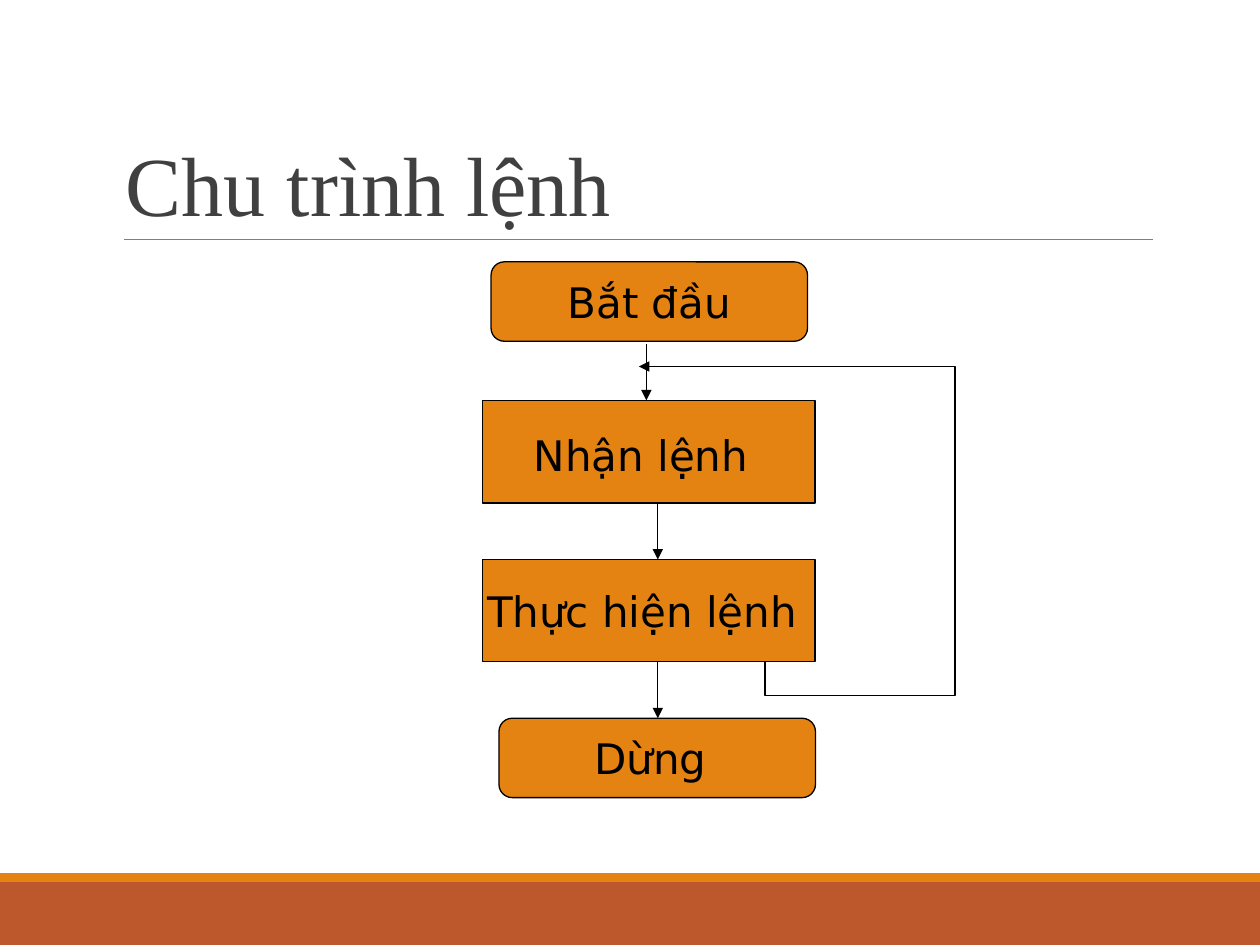
from lxml.etree import SubElement
from pptx import Presentation
from pptx.dml.color import RGBColor
from pptx.enum.shapes import MSO_CONNECTOR as Link, MSO_SHAPE as Kind
from pptx.enum.text import MSO_ANCHOR as Anchor, PP_ALIGN as Align
from pptx.oxml.ns import qn
from pptx.util import Cm, Pt

RUST = RGBColor(0xBD, 0x58, 0x2C)
ORANGE = RGBColor(0xE4, 0x83, 0x12)
GRAY = RGBColor(0x7F, 0x7F, 0x7F)
DARK = RGBColor(0x40, 0x40, 0x40)
BLACK = RGBColor(0, 0, 0)

WIDE, HIGH = 25.4, 19.05


def style(run, face, size, color):
    run.font.name = face
    run.font.size = Pt(size)
    run.font.color.rgb = color


def add_band(shapes, top, high, color):
    band = shapes.add_shape(Kind.RECTANGLE, 0, Cm(top), Cm(WIDE), Cm(high))
    band.shadow.inherit = False
    band.fill.solid()
    band.fill.fore_color.rgb = color
    band.line.fill.background()


def add_title(shapes, text):
    box = shapes.add_textbox(Cm(2.29), Cm(0.79), Cm(20.96), Cm(4.04))
    frame = box.text_frame
    frame.word_wrap = True
    frame.vertical_anchor = Anchor.BOTTOM
    frame.text = text
    para = frame.paragraphs[0]
    para.line_spacing = 0.85
    style(para.runs[0], "Times New Roman", 48, DARK)


def add_step(shapes, kind, left, top, wide, high, parts):
    """Draw a step of the flow; parts are (text, size) runs."""
    step = shapes.add_shape(kind, Cm(left), Cm(top), Cm(wide), Cm(high))
    step.shadow.inherit = False
    step.fill.solid()
    step.fill.fore_color.rgb = ORANGE
    step.line.color.rgb = BLACK
    step.line.width = Pt(0.75)
    frame = step.text_frame
    frame.word_wrap = False
    frame.vertical_anchor = Anchor.MIDDLE
    para = frame.paragraphs[0]
    para.alignment = Align.CENTER
    for text, size in parts:
        run = para.add_run()
        run.text = text
        style(run, "DejaVu Sans", size, BLACK)


def add_tip(shape):
    SubElement(shape.line._get_or_add_ln(), qn("a:tailEnd"), type="triangle")


def add_line(shapes, x1, y1, x2, y2, color=BLACK, width=0.75):
    line = shapes.add_connector(Link.STRAIGHT, Cm(x1), Cm(y1), Cm(x2), Cm(y2))
    line.line.color.rgb = color
    line.line.width = Pt(width)
    SubElement(line._element.spPr, qn("a:effectLst"))
    return line


def add_loop(shapes, points):
    start, *rest = [(Cm(x), Cm(y)) for x, y in points]
    path = shapes.build_freeform(*start)
    path.add_line_segments(rest, close=False)
    loop = path.convert_to_shape()
    loop.shadow.inherit = False
    loop.fill.background()
    loop.line.color.rgb = BLACK
    loop.line.width = Pt(0.75)
    add_tip(loop)


def main():
    deck = Presentation()
    deck.slide_width, deck.slide_height = Cm(WIDE), Cm(HIGH)
    shapes = deck.slides.add_slide(deck.slide_layouts[6]).shapes

    # Footer bands, title and rule
    add_band(shapes, 17.78, 1.27, RUST)
    add_band(shapes, 17.6, 0.18, ORANGE)
    add_line(shapes, 2.49, 4.83, 23.24, 4.83, GRAY, 0.5)
    add_title(shapes, "Chu trình lệnh")

    # Start and stop
    for left, top, text in [(9.9, 5.28, "Bắt đầu"), (10.06, 14.48, "Dừng ")]:
        add_step(shapes, Kind.ROUNDED_RECTANGLE, left, top, 6.38, 1.6,
                 [(text, 24)])

    # Fetch and execute
    for top, parts in [(8.08, [("Nhận lệnh", 24), (" ", 28)]),
                       (11.28, [("Thực hiện lệnh ", 24)])]:
        add_step(shapes, Kind.RECTANGLE, 9.73, top, 6.7, 2.06, parts)

    # Arrows between steps
    for x, top in [(13.03, 6.93), (13.26, 10.14), (13.26, 13.34)]:
        add_tip(add_line(shapes, x, top, x, top + 1.14))

    # Way back to the fetch step
    add_loop(shapes, [(15.42, 13.34), (15.42, 14.02), (19.25, 14.02),
                      (19.25, 7.39), (12.88, 7.39)])

    deck.save("out.pptx")


if __name__ == "__main__":
    main()
